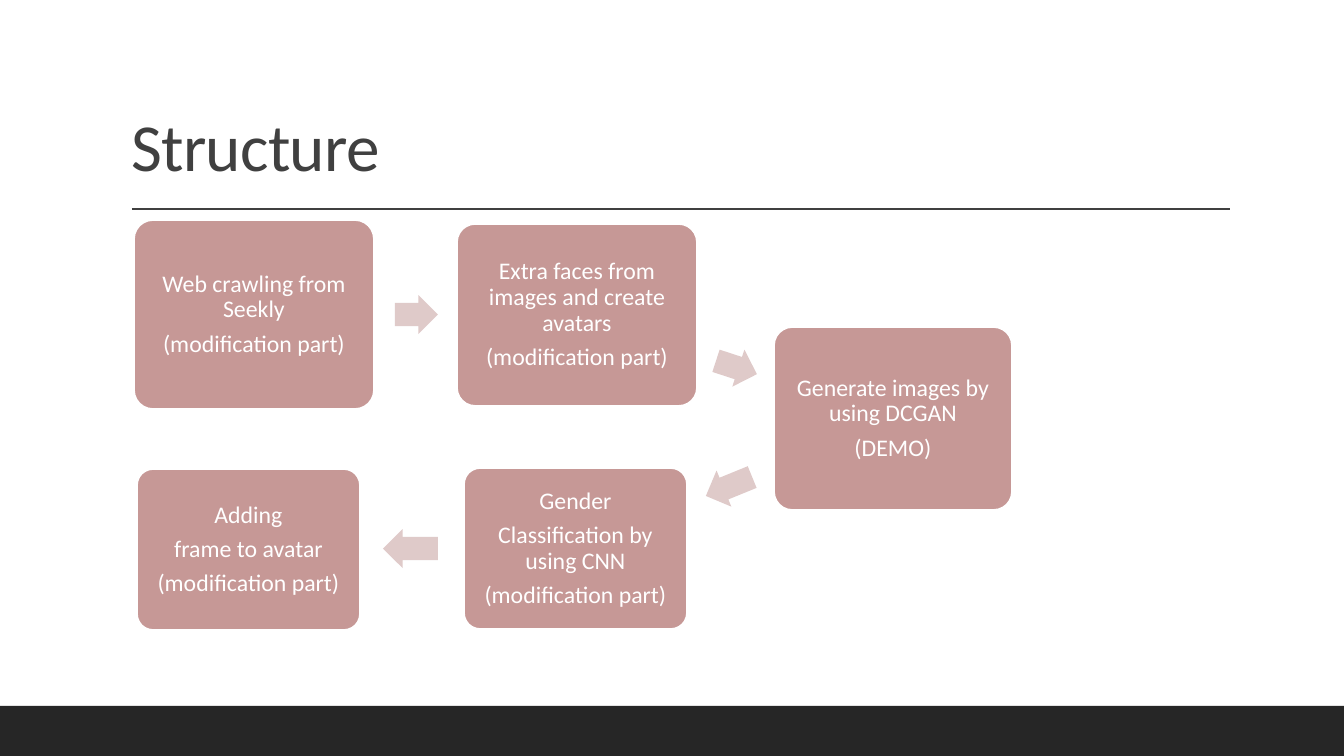
from lxml import etree
from pptx import Presentation, util as u
from pptx.dml.color import RGBColor
from pptx.enum import shapes, text
from pptx.oxml import ns

PIXEL = 914400 / 100.8
FONT = "Calibri"
WHITE = RGBColor(0xFF, 0xFF, 0xFF)
CHARCOAL = RGBColor(0x26, 0x26, 0x26)
GRAY = RGBColor(0x40, 0x40, 0x40)
ROSE = RGBColor(0xC6, 0x98, 0x96)
PALE_ROSE = RGBColor(0xDF, 0xCA, 0xC9)

TITLE = "Structure"
MODIFIED = "(modification part)"
STEPS = [
    (["Web crawling from Seekly", MODIFIED], (134, 220, 240, 189)),
    (["Extra faces from images and create avatars", MODIFIED], (457, 224, 240, 182)),
    (["Generate images by using DCGAN", "(DEMO)"], (774, 327, 238, 183)),
    (["Gender", "Classification by using CNN", MODIFIED], (464, 468, 223, 161)),
    (["Adding", "frame to avatar", MODIFIED], (137, 469, 223, 161)),
]
ARROWS = [
    ((395, 295, 43, 39), 0),
    ((715, 348, 43, 39), 18.1),
    ((704, 467, 50, 39), 157.8),
    ((383, 529, 55, 39), 180),
]


def px(*values):
    return [u.Emu(round(value * PIXEL)) for value in values]


def add_block(kind, box, color):
    shape = slide.shapes.add_shape(kind, *px(*box))
    shape.shadow.inherit = False
    shape.fill.solid()
    shape.fill.fore_color.rgb = color
    shape.line.fill.background()
    return shape


def format_paragraph(paragraph, size, color, alignment):
    paragraph.alignment = alignment
    paragraph.line_spacing = 0.9
    for run in paragraph.runs:
        run.font.name = FONT
        run.font.size = u.Pt(size)
        run.font.color.rgb = color


def add_step(lines, box):
    shape = add_block(shapes.MSO_SHAPE.ROUNDED_RECTANGLE, box, ROSE)
    shape.adjustments[0] = 0.1
    shape.line.color.rgb = WHITE
    shape.line.width = u.Pt(1.25)
    frame = shape.text_frame
    frame.word_wrap = True
    frame.vertical_anchor = text.MSO_ANCHOR.MIDDLE
    frame.margin_left = frame.margin_right = px(9)[0]
    frame.margin_top = frame.margin_bottom = px(9)[0]
    frame.text = "\n".join(lines)
    for paragraph in frame.paragraphs:
        format_paragraph(paragraph, 17, WHITE, text.PP_ALIGN.CENTER)
        paragraph.space_after = u.Pt(6)


def add_arrow(box, rotation):
    arrow = add_block(shapes.MSO_SHAPE.RIGHT_ARROW, box, PALE_ROSE)
    arrow.adjustments[0] = 0.6
    arrow.adjustments[1] = 0.5
    arrow.rotation = rotation


presentation = Presentation()
presentation.slide_width, presentation.slide_height = px(1344, 756)
slide = presentation.slides.add_slide(presentation.slide_layouts[5])

add_block(shapes.MSO_SHAPE.RECTANGLE, (0, 706, 1344, 50), CHARCOAL)
rule = slide.shapes.add_connector(shapes.MSO_CONNECTOR.STRAIGHT, *px(132, 209, 1230, 209))
rule.line.color.rgb = GRAY
rule.line.width = u.Pt(1)
etree.SubElement(rule._element.spPr, ns.qn("a:effectLst"))

title = slide.shapes.title
title.left, title.top, title.width, title.height = px(121, 31, 1109, 160)
title.text_frame.text = TITLE
title.text_frame.auto_size = text.MSO_AUTO_SIZE.NONE
title.text_frame.vertical_anchor = text.MSO_ANCHOR.BOTTOM
heading = title.text_frame.paragraphs[0]
format_paragraph(heading, 48, GRAY, text.PP_ALIGN.LEFT)
heading.runs[0]._r.get_or_add_rPr().set("spc", "-50")

for lines, box in STEPS:
    add_step(lines, box)
for box, rotation in ARROWS:
    add_arrow(box, rotation)

presentation.save("out.pptx")
